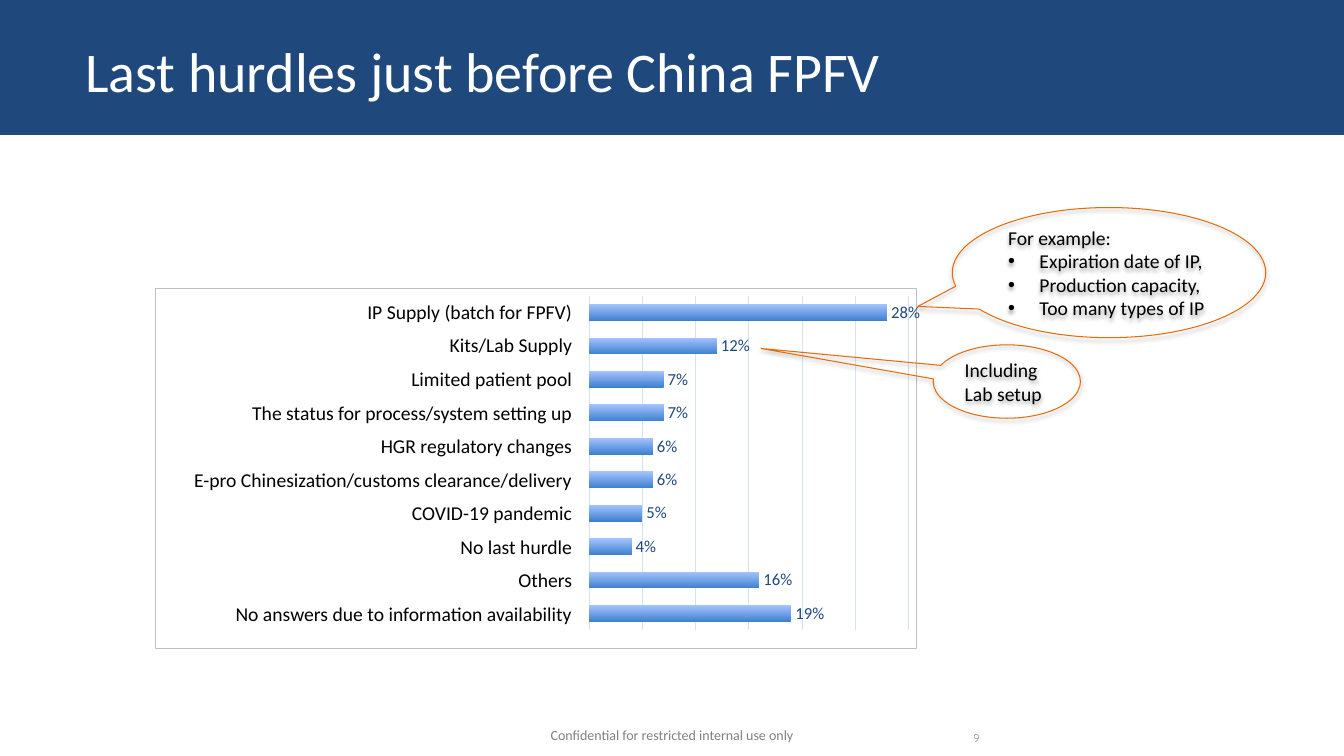
from dataclasses import dataclass

from lxml.etree import SubElement
from pptx import Presentation
from pptx.chart.data import CategoryChartData
from pptx.dml.color import RGBColor
from pptx.enum.chart import XL_CHART_TYPE as ChartType, XL_LABEL_POSITION as LabelPosition
from pptx.enum.shapes import MSO_SHAPE as Shape
from pptx.enum.text import MSO_ANCHOR as Anchor, PP_ALIGN as Align
from pptx.oxml import parse_xml
from pptx.oxml.ns import nsdecls, qn
from pptx.util import Cm, Pt

# Content
TITLE = "Last hurdles just before China FPFV"
FOOTER = "Confidential for restricted internal use only"
PAGE_NUMBER = "9"
HURDLES = [
    ("IP Supply (batch for FPFV)", 0.28),
    ("Kits/Lab Supply", 0.12),
    ("Limited patient pool", 0.07),
    ("The status for process/system setting up", 0.07),
    ("HGR regulatory changes", 0.06),
    ("E-pro Chinesization/customs clearance/delivery", 0.06),
    ("COVID-19 pandemic", 0.05),
    ("No last hurdle", 0.04),
    ("Others", 0.16),
    ("No answers due to information availability", 0.19),
]
# Callouts: position and size, pointer, lead line, bullets
CALLOUTS = [
    ((24, 5.23, 7.9, 3.28), (-0.61, 0.26), "For example:",
     ["Expiration date of IP,", "Production capacity,", "Too many types of IP"]),
    ((23.52, 8.69, 3.71, 1.85), (-1.67, -0.45), "Including Lab setup", []),
]
CHART_AREA = (3.91, 7.26, 19.28, 9.09)
PLOT_AREA = {"x": 0.57, "y": 0.02, "w": 0.42, "h": 0.93}
LABEL_AREA = (3.91, 7.44, 10.54, 8.46)
NO_STYLE = "{2D5ABB26-0587-4C30-8999-92F81FD0307C}"


@dataclass(frozen=True)
class Theme:
    font: str = "Calibri"
    number_font: str = "Quicksand"
    navy: str = "1F497D"
    white: str = "FFFFFF"
    black: str = "000000"
    orange: str = "E46C0A"
    grid: str = "D4E3F4"
    border: str = "BFBFBF"
    bar_low: str = "3F80CE"
    bar_high: str = "A4C4FF"
    footer: str = "808080"
    number: str = "8C8C8C"
    title_size: int = 40
    body_size: int = 14
    value_size: int = 12
    footer_size: int = 10
    number_size: int = 8
    line: float = 0.75


theme = Theme()


def rgb(code):
    return RGBColor.from_string(code)


def place(area):
    return [Cm(length) for length in area]


def style_font(font, size, color, name=theme.font):
    font.size, font.name = Pt(size), name
    font.color.rgb = rgb(color)


def add_span(para, text, size, color, name=theme.font, align=Align.LEFT):
    para.alignment = align
    span = para.add_run()
    span.text = text
    style_font(span.font, size, color, name)


def add_text(page, area, anchor, text, *style, **options):
    box = page.shapes.add_textbox(*place(area))
    box.text_frame.word_wrap = True
    box.text_frame.vertical_anchor = anchor
    para = box.text_frame.paragraphs[0]
    add_span(para, text, *style, **options)
    return para


def add_banner(page, width):
    banner = page.shapes.add_shape(Shape.RECTANGLE, 0, 0, width, Cm(3.4))
    banner.shadow.inherit = False
    banner.fill.solid()
    banner.fill.fore_color.rgb = rgb(theme.navy)
    banner.line.fill.background()
    para = add_text(page, (1.7, 0.18, 30.48, 3.18), Anchor.MIDDLE,
                    TITLE, theme.title_size, theme.white)
    para._p.get_or_add_pPr().set("marL", str(Cm(0.2)))


def add_callout(page, area, pointer, lead, bullets):
    callout = page.shapes.add_shape(Shape.OVAL_CALLOUT, *place(area))
    callout.adjustments[0], callout.adjustments[1] = pointer
    callout.fill.background()
    callout.line.color.rgb = rgb(theme.orange)
    callout.line.width = Pt(theme.line)

    # Soft shadow straight below
    callout.shadow.inherit = False
    effects = callout._element.spPr.find(qn("a:effectLst"))
    effects.append(parse_xml(
        f'<a:outerShdw {nsdecls("a")} blurRad="{Pt(3.1)}" dist="{Pt(1.8)}" dir="5400000"'
        ' rotWithShape="0"><a:srgbClr val="000000"><a:alpha val="35000"/></a:srgbClr>'
        '</a:outerShdw>'))

    frame = callout.text_frame
    frame.word_wrap = True
    frame.vertical_anchor = Anchor.MIDDLE
    add_span(frame.paragraphs[0], lead, theme.body_size, theme.black)
    for bullet in bullets:
        para = frame.add_paragraph()
        props = para._p.get_or_add_pPr()
        props.set("marL", str(Cm(0.79)))
        props.set("indent", str(-Cm(0.79)))
        SubElement(props, qn("a:buFont"), typeface="Arial")
        SubElement(props, qn("a:buChar"), char="•")
        add_span(para, bullet, theme.body_size, theme.black)


def add_hurdle_chart(page):
    data = CategoryChartData(number_format="0%")
    data.categories = [str(rank) for rank in range(1, len(HURDLES) + 1)]
    data.add_series("Series 1", [share for _, share in HURDLES])
    chart = page.shapes.add_chart(ChartType.BAR_CLUSTERED, *place(CHART_AREA), data).chart
    chart.has_legend = chart.has_title = False
    style_font(chart.font, theme.footer_size, theme.black)

    # Axes
    chart.category_axis.reverse_order = True
    chart.category_axis.visible = False
    shares = chart.value_axis
    shares.minimum_scale, shares.maximum_scale, shares.major_unit = 0, 0.3, 0.05
    shares.visible = False
    shares.has_major_gridlines = True
    grid = shares.major_gridlines.format.line
    grid.color.rgb, grid.width = rgb(theme.grid), Pt(theme.line)

    # Bars and their values
    plot = chart.plots[0]
    plot.gap_width, plot.vary_by_categories = 100, False
    fill = plot.series[0].format.fill
    fill.gradient()
    fill.gradient_angle = 90
    for stop, position, color in zip(fill.gradient_stops, (0, 1), (theme.bar_low, theme.bar_high)):
        stop.position, stop.color.rgb = position, rgb(color)
    plot.has_data_labels = True
    labels = plot.data_labels
    labels.show_value, labels.position = True, LabelPosition.OUTSIDE_END
    labels.number_format, labels.number_format_is_linked = "0%", False
    style_font(labels.font, theme.value_size, theme.navy)

    # Plot position and outer border
    area = chart._chartSpace.chart.plotArea
    for old in area.findall(qn("c:layout")):
        area.remove(old)
    sizes = "".join(f'<c:{key} val="{value}"/>' for key, value in PLOT_AREA.items())
    area.insert(0, parse_xml(
        f'<c:layout {nsdecls("c")}><c:manualLayout><c:layoutTarget val="inner"/>'
        f'<c:xMode val="edge"/><c:yMode val="edge"/>{sizes}</c:manualLayout></c:layout>'))
    chart._chartSpace.chart.addnext(parse_xml(
        f'<c:spPr {nsdecls("c", "a")}><a:noFill/><a:ln w="{Pt(theme.line)}"><a:solidFill>'
        f'<a:srgbClr val="{theme.border}"/></a:solidFill></a:ln></c:spPr>'))


def add_hurdle_labels(page):
    table = page.shapes.add_table(len(HURDLES), 1, *place(LABEL_AREA)).table
    table.first_row = table.horz_banding = False
    table._tbl.tblPr.find(qn("a:tableStyleId")).text = NO_STYLE
    for row, (name, _) in zip(table.rows, HURDLES):
        cell = row.cells[0]
        cell.fill.background()
        cell.vertical_anchor = Anchor.MIDDLE
        cell.margin_left = cell.margin_right = cell.margin_top = Cm(0.03)
        cell.margin_bottom = 0
        add_span(cell.text_frame.paragraphs[0], name, theme.body_size, theme.black,
                 align=Align.RIGHT)


def main():
    deck = Presentation()
    deck.slide_width, deck.slide_height = Cm(33.87), Cm(19.05)
    page = deck.slides.add_slide(deck.slide_layouts[6])

    add_banner(page, deck.slide_width)
    add_hurdle_chart(page)
    add_hurdle_labels(page)
    for callout in CALLOUTS:
        add_callout(page, *callout)
    add_text(page, (12.07, 18.19, 9.73, 0.76), Anchor.TOP, FOOTER,
             theme.footer_size, theme.footer, align=Align.CENTER)
    add_text(page, (24.28, 17.86, 7.9, 1.02), Anchor.BOTTOM, PAGE_NUMBER,
             theme.number_size, theme.number, theme.number_font)
    deck.save("out.pptx")


if __name__ == "__main__":
    main()
